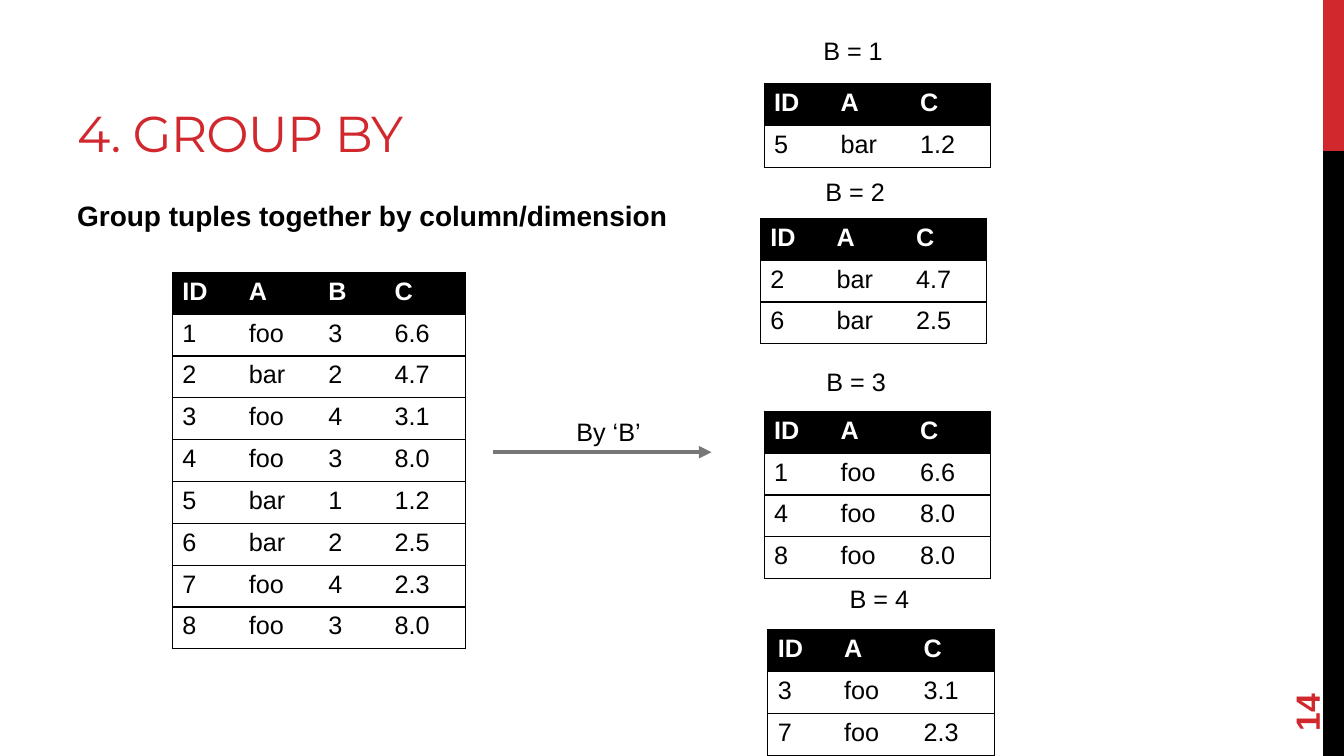
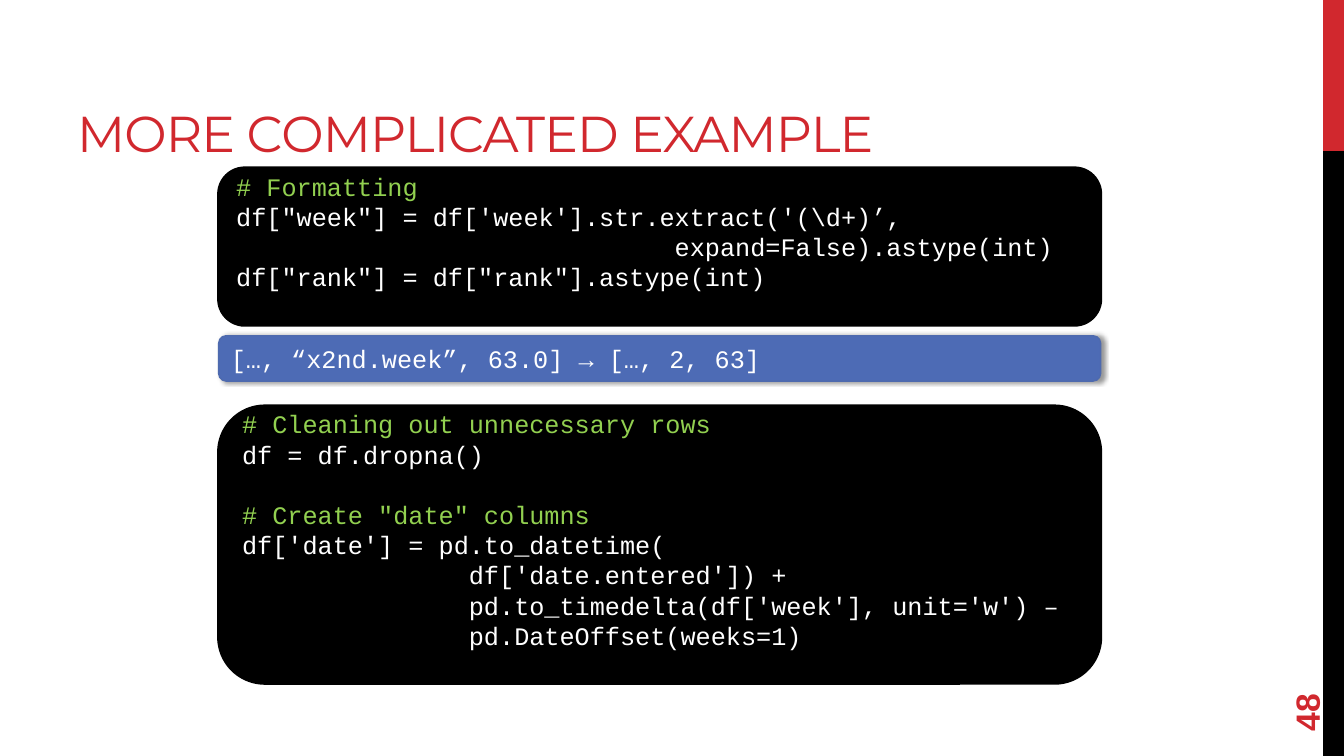
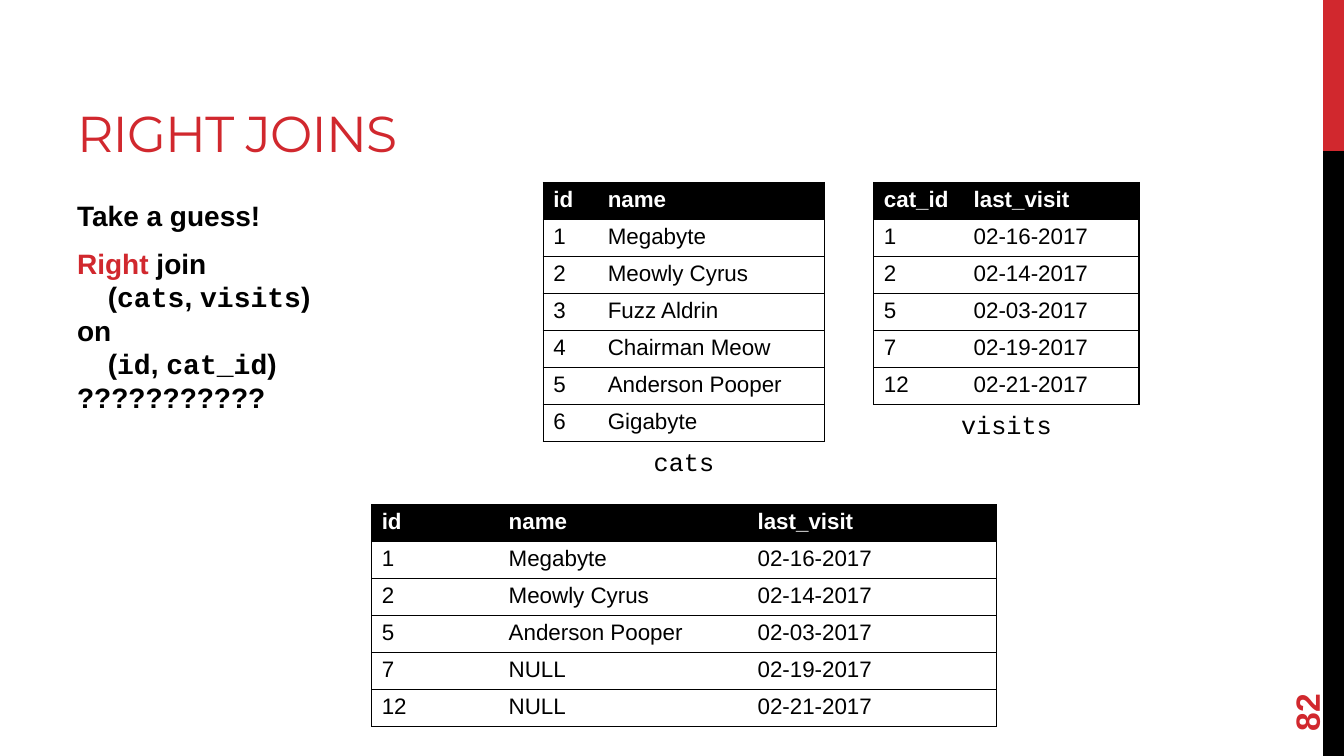
from lxml import etree
from pptx import Presentation
from pptx.dml.color import RGBColor
from pptx.enum.shapes import MSO_CONNECTOR, MSO_SHAPE
from pptx.enum.text import MSO_ANCHOR as ANCHOR, PP_ALIGN as ALIGN
from pptx.oxml import parse_xml
from pptx.oxml.ns import nsdecls, qn
from pptx.util import Pt

W, H = 960, 540
COLORS = {
    "red": "D1282E", "black": "000000", "white": "FFFFFF", "arrow": "777777",
    "comment": "92D050", "bar": "4D6BB5", "bar_line": "4E6AAE",
}
SANS, MONO, DISPLAY = "Arial", "Courier New", "Montserrat"

TUPLES = [
    ("1", "foo", "3", "6.6"),
    ("2", "bar", "2", "4.7"),
    ("3", "foo", "4", "3.1"),
    ("4", "foo", "3", "8.0"),
    ("5", "bar", "1", "1.2"),
    ("6", "bar", "2", "2.5"),
    ("7", "foo", "4", "2.3"),
    ("8", "foo", "3", "8.0"),
]
GROUPS = [
    ("1", (545.8, 59.6), (581, 21.6)),
    ("2", (543, 156), (582.5, 122.4)),
    ("3", (545.8, 293.8), (583.2, 257.8)),
    ("4", (548.4, 450), (599.8, 413.3)),
]
GROUP_COLS = {"ID": 47.4, "A": 56.8, "B": 47.4, "C": 57.6}

FORMATTING = [
    "# Formatting",
    "df[\"week\"] = df['week'].str.extract('(\\d+)’,",
    "                             expand=False).astype(int)",
    'df["rank"] = df["rank"].astype(int)',
]
RESULT = "[…, “x2nd.week”, 63.0] → […, 2, 63]"
CLEANING = [
    "# Cleaning out unnecessary rows",
    "df = df.dropna()",
    '# Create "date" columns',
    "df['date'] = pd.to_datetime(",
    "               df['date.entered']) +",
    "               pd.to_timedelta(df['week'], unit='w') –",
    "               pd.DateOffset(weeks=1)",
]

CATS = [
    ("1", "Megabyte"), ("2", "Meowly Cyrus"), ("3", "Fuzz Aldrin"),
    ("4", "Chairman Meow"), ("5", "Anderson Pooper"), ("6", "Gigabyte"),
]
VISITS = [
    ("1", "02-16-2017"), ("2", "02-14-2017"), ("5", "02-03-2017"),
    ("7", "02-19-2017"), ("12", "02-21-2017"),
]
GUESS = [
    (0, 0, [("Take a guess!", SANS, "black")]),
    (10, 0, [("Right", SANS, "red"), (" join", SANS, "black")]),
    (0, 22, [("(", SANS, "black"), ("cats", MONO, "black"), (", ", SANS, "black"),
             ("visits", MONO, "black"), (")", SANS, "black")]),
    (0, 0, [("on", SANS, "black")]),
    (0, 22, [("(", SANS, "black"), ("id", MONO, "black"), (", ", SANS, "black"),
             ("cat_id", MONO, "black"), (")", SANS, "black")]),
    (0, 0, [("???????????", SANS, "black")]),
]


def rgb(name):
    return RGBColor.from_string(COLORS[name])


def add_run(p, text, size, color="black", font=SANS, bold=False):
    r = p.add_run()
    r.text = text
    r.font.size, r.font.name, r.font.bold = Pt(size), font, bold
    r.font.color.rgb = rgb(color)
    return r


def add_box(s, x, y, w, h, wrap=True, anchor=ANCHOR.TOP):
    sp = s.shapes.add_textbox(Pt(x), Pt(y), Pt(w), Pt(h))
    sp.text_frame.word_wrap = wrap
    sp.text_frame.vertical_anchor = anchor
    return sp


def add_label(s, x, y, w, text, font=SANS, wrap=True, align=ALIGN.LEFT):
    p = add_box(s, x, y, w, 29, wrap).text_frame.paragraphs[0]
    p.alignment = align
    add_run(p, text, 18, font=font)


def add_rect(s, x, y, w, h, fill, line=None, line_width=1, kind=MSO_SHAPE.RECTANGLE):
    sp = s.shapes.add_shape(kind, Pt(x), Pt(y), Pt(w), Pt(h))
    sp.shadow.inherit = False
    sp.fill.solid()
    sp.fill.fore_color.rgb = rgb(fill)
    if line:
        sp.line.color.rgb = rgb(line)
        sp.line.width = Pt(line_width)
    else:
        sp.line.fill.background()
    return sp


def add_code(s, y, h, lines, fill="black", line="black", line_width=2.25, tail=0):
    sp = add_rect(s, 156.2, y, 630, h, fill, line, line_width, MSO_SHAPE.ROUNDED_RECTANGLE)
    tf = sp.text_frame
    tf.word_wrap = True
    tf.vertical_anchor = ANCHOR.MIDDLE
    tf.margin_bottom = Pt(3.6 + tail)
    for i, text in enumerate(lines):
        p = tf.paragraphs[0] if i == 0 else tf.add_paragraph()
        p.alignment = ALIGN.LEFT
        is_comment = text.startswith("#")
        if i and is_comment:
            p.space_before = Pt(21.5)
        add_run(p, text, 18, "comment" if is_comment else "white", MONO)
    return sp


def set_borders(cell, sides):
    tcPr = cell._tc.get_or_add_tcPr()
    for side in "LRTB":
        ln = etree.SubElement(tcPr, qn(f"a:ln{side}"), w=str(Pt(1)))
        if side in sides:
            fill = etree.SubElement(ln, qn("a:solidFill"))
            etree.SubElement(fill, qn("a:srgbClr"), val=COLORS["black"])
        else:
            etree.SubElement(ln, qn("a:noFill"))


def add_grid(s, x, y, cols, rows, size, row_h):
    data = [tuple(cols), *rows]
    widths = list(cols.values())
    frame = s.shapes.add_table(len(data), len(cols), Pt(x), Pt(y),
                               Pt(sum(widths)), Pt(row_h * len(data)))
    table = frame.table
    table.horz_banding = False
    for column, width in zip(table.columns, widths):
        column.width = Pt(width)
    for i, values in enumerate(data):
        table.rows[i].height = Pt(row_h)
        for j, text in enumerate(values):
            cell = table.cell(i, j)
            set_borders(cell, "TB" + "L" * (j == 0) + "R" * (j == len(cols) - 1))
            cell.fill.solid()
            cell.fill.fore_color.rgb = rgb("white" if i else "black")
            add_run(cell.text_frame.paragraphs[0], text, size,
                    "black" if i else "white", bold=i == 0)


def add_arrow(s, x1, x2, y):
    line = s.shapes.add_connector(MSO_CONNECTOR.STRAIGHT, Pt(x1), Pt(y), Pt(x2), Pt(y))
    line.line.color.rgb = rgb("arrow")
    line.line.width = Pt(3)
    etree.SubElement(line.line._get_or_add_ln(), qn("a:tailEnd"), type="triangle")
    etree.SubElement(line._element.spPr, qn("a:effectLst"))


def add_body(s, paragraphs):
    tf = add_box(s, 48, 138.2, 800, 344).text_frame
    for i, (before, indent, runs) in enumerate(paragraphs):
        p = tf.paragraphs[0] if i == 0 else tf.add_paragraph()
        if before:
            p.space_before = Pt(before)
        if indent:
            p._p.get_or_add_pPr().set("marL", str(Pt(indent)))
        for text, font, color in runs:
            add_run(p, text, 20, color, font, True)


def new_slide(prs, title, number):
    s = prs.slides.add_slide(prs.slide_layouts[6])
    add_rect(s, 945, 0, 15, 108, "red")
    add_rect(s, 945, 108, 15, 432, "black")
    tf = add_box(s, 48, 12, 608, 108, anchor=ANCHOR.BOTTOM).text_frame
    r = add_run(tf.paragraphs[0], title, 36, "red", DISPLAY)
    r._r.get_or_add_rPr().set("spc", "-60")
    sp = add_box(s, 881.3, 458.6, 103.7, 38.2, anchor=ANCHOR.MIDDLE)
    sp.rotation = 270
    add_run(sp.text_frame.paragraphs[0], number, 24, "red", bold=True)
    return s


def group_slide(prs):
    s = new_slide(prs, "4. GROUP BY", "14")
    add_body(s, [(0, 0, [("Group tuples together by column/dimension", SANS, "black")])])
    add_grid(s, 123.1, 194.5, GROUP_COLS, TUPLES, 18, 29.9)
    add_label(s, 404.6, 293.8, 88.6, "By ‘B’")
    add_arrow(s, 352, 508.3, 323)
    cols = {name: width for name, width in GROUP_COLS.items() if name != "B"}
    for key, table_at, label_at in GROUPS:
        rows = [(id_, a, c) for id_, a, b, c in TUPLES if b == key]
        add_grid(s, *table_at, cols, rows, 18, 29.9)
        add_label(s, *label_at, 57.6, f"B = {key}", wrap=False)


def code_slide(prs):
    s = new_slide(prs, "MORE COMPLICATED EXAMPLE", "48")
    add_code(s, 120, 112.3, FORMATTING, tail=21.5)
    add_code(s, 290, 198, CLEANING, tail=21.5)
    bar = add_code(s, 239.8, 32.4, [RESULT], "bar", "bar_line", 1)
    effects = bar._element.spPr.find(qn("a:effectLst"))
    effects.append(parse_xml(
        f'<a:outerShdw {nsdecls("a")} blurRad="{Pt(3.1)}" dist="{Pt(1.8)}" dir="0">'
        f'<a:srgbClr val="{COLORS["black"]}"><a:alpha val="40000"/></a:srgbClr>'
        '</a:outerShdw>'))


def join_slide(prs):
    s = new_slide(prs, "RIGHT JOINS", "82")
    add_body(s, GUESS)
    row_h, top = 26.4, 130.3
    names = dict(CATS)
    joined = [(id_, names.get(id_, "NULL"), date) for id_, date in VISITS]
    sources = [
        ("cats", 388.1, {"id": 38.9, "name": 162}, CATS),
        ("visits", 624.2, {"cat_id": 64.1, "last_visit": 125.3}, VISITS),
    ]
    for name, x, cols, rows in sources:
        add_grid(s, x, top, cols, rows, 16, row_h)
        add_label(s, x, top + row_h * (len(rows) + 1), sum(cols.values()), name,
                  MONO, align=ALIGN.CENTER)
    add_grid(s, 265.5, 360.5, {"id": 90.7, "name": 177.8, "last_visit": 177.8},
             joined, 16, row_h)


def main():
    prs = Presentation()
    prs.slide_width, prs.slide_height = Pt(W), Pt(H)
    for build in (group_slide, code_slide, join_slide):
        build(prs)
    prs.save("out.pptx")


if __name__ == "__main__":
    main()
